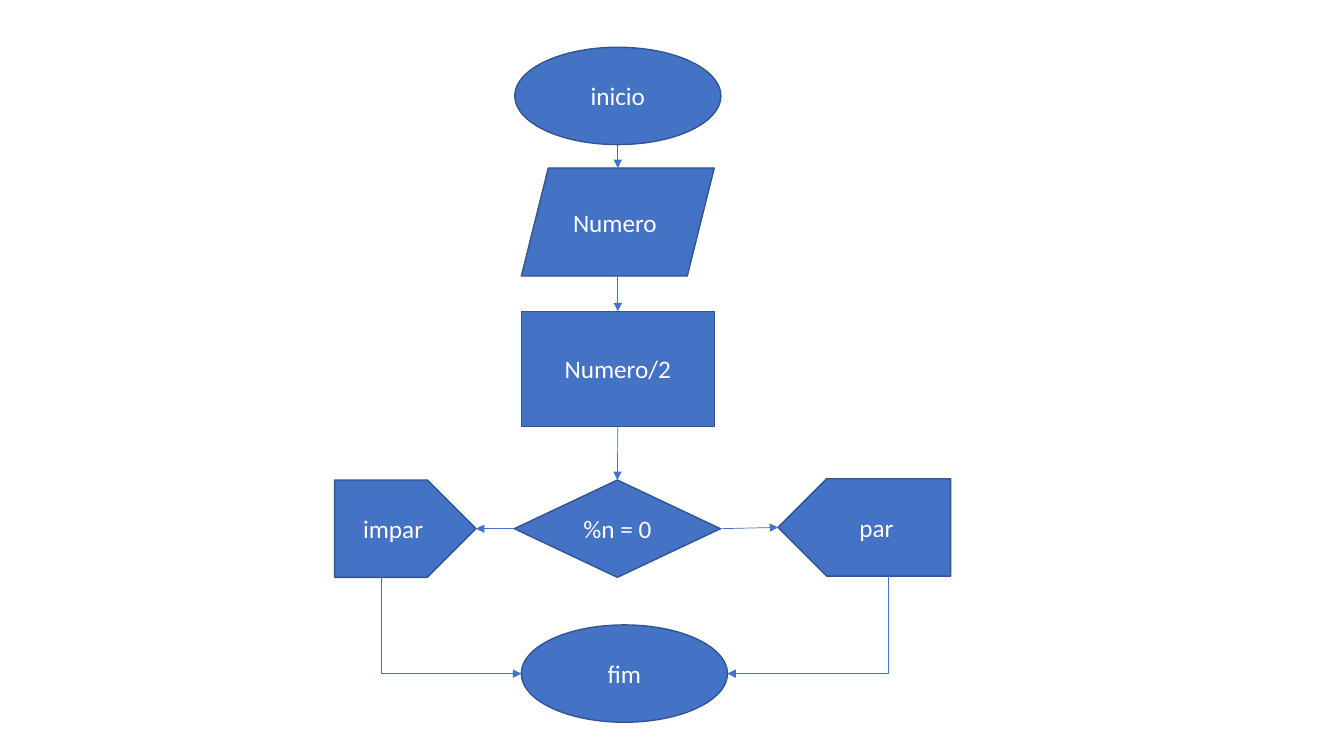
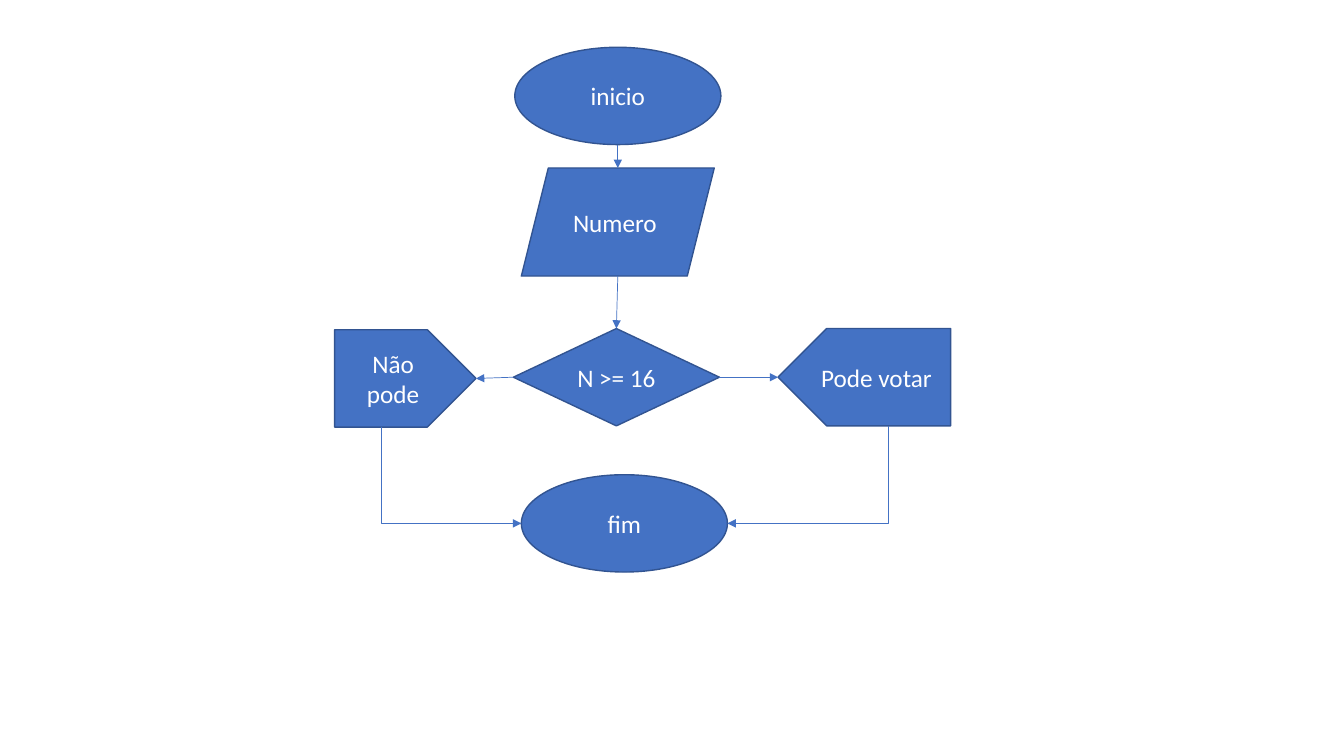
from pptx import Presentation
from pptx.dml.color import RGBColor
from pptx.enum.shapes import MSO_CONNECTOR as Link, MSO_SHAPE as Form
from pptx.enum.text import MSO_ANCHOR as Anchor, PP_ALIGN as Align
from pptx.oxml.ns import qn
from pptx.util import Pt
from lxml.etree import SubElement

TOP, LEFT, BOTTOM, RIGHT = range(4)
MID = 441.3
TALL = 69.5


def paint(part, color):
    part.solid()
    part.fore_color.rgb = RGBColor.from_string(color)


def side(box, spot):
    x, y = box.left.pt, box.top.pt
    w, h = box.width.pt, box.height.pt
    return {
        TOP: (x + w / 2, y),
        LEFT: (x, y + h / 2),
        BOTTOM: (x + w / 2, y + h),
        RIGHT: (x + w, y + h / 2),
    }[spot]


class Chart:
    blue, edge, white = "4472C4", "325491", "FFFFFF"
    font, size = "Calibri", 18
    sites = (Form.RECTANGLE, Form.FLOWCHART_DECISION)

    def __init__(self):
        self.deck = Presentation()
        self.deck.slide_width = Pt(960)
        self.deck.slide_height = Pt(540)

    def page(self):
        self.slide = self.deck.slides.add_slide(self.deck.slide_layouts[6])
        paint(self.slide.background.fill, self.white)

    def box(self, form, text, x, y, w, h=TALL, flip=False):
        box = self.slide.shapes.add_shape(form, Pt(x), Pt(y), Pt(w), Pt(h))
        box.shadow.inherit = False
        paint(box.fill, self.blue)
        paint(box.line.fill, self.edge)
        box.line.width = Pt(1)
        if flip:
            box.element.spPr.find(qn("a:xfrm")).set("flipH", "1")
        frame = box.text_frame
        frame.text = text
        frame.word_wrap = True
        frame.vertical_anchor = Anchor.MIDDLE
        para = frame.paragraphs[0]
        para.alignment = Align.CENTER
        font = para.runs[0].font
        font.name, font.size = self.font, Pt(self.size)
        font.color.rgb = RGBColor.from_string(self.white)
        return box

    def line(self, kind, start, end):
        line = self.slide.shapes.add_connector(
            kind, *(Pt(n) for n in (*start, *end)))
        paint(line.line.fill, self.blue)
        line.line.width = Pt(0.5)
        SubElement(line.line._get_or_add_ln(), qn("a:tailEnd"), type="triangle")
        SubElement(line.element.spPr, qn("a:effectLst"))
        return line

    def arrow(self, first, out, last, into):
        line = self.line(Link.STRAIGHT, side(first, out), side(last, into))
        if first.auto_shape_type in self.sites:
            line.begin_connect(first, out)
        if last.auto_shape_type in self.sites:
            line.end_connect(last, into)

    def bend(self, start, end):
        (x1, y1), (x2, y2) = start, end
        mx, my = (x1 + x2) / 2, (y1 + y2) / 2
        w, h = (y2 - y1) / 2, abs(x2 - x1) / 2
        right = x2 > x1
        if right:
            w = -w
        line = self.line(Link.ELBOW, (mx - w, my - h), (mx + w, my + h))
        props = line.element.spPr
        props.find(qn("a:xfrm")).set("rot", "16200000" if right else "5400000")
        props.find(qn("a:prstGeom")).set("prst", "bentConnector2")

    def intro(self):
        start = self.box(Form.OVAL, "inicio", MID - 73.6, 33.8, 147.2)
        data = self.box(Form.PARALLELOGRAM, "Numero ", MID - 68.9, 120, 137.8, 77.2)
        self.arrow(start, BOTTOM, data, TOP)
        return data

    def fork(self, prior, y, x, drop, test, no, yes):
        test = self.box(Form.FLOWCHART_DECISION, test, x, y + drop, 147.2)
        yes = self.box(Form.PENTAGON, yes, 555.8, y, 123.3, flip=True)
        no = self.box(Form.PENTAGON, no, 239, y + 0.9, 101)
        end = self.box(Form.OVAL, "fim", 372.4, y + 104.4, 147.2)
        self.arrow(prior, BOTTOM, test, TOP)
        self.arrow(test, LEFT, no, RIGHT)
        self.arrow(test, RIGHT, yes, LEFT)
        self.bend((272.1, side(no, BOTTOM)[1]), side(end, LEFT))
        self.bend((634.6, side(yes, BOTTOM)[1]), side(end, RIGHT))


def main():
    chart = Chart()

    chart.page()
    data = chart.intro()
    half = chart.box(Form.RECTANGLE, "Numero/2", MID - 68.9, 222.3, 137.8, 82.3)
    chart.arrow(data, BOTTOM, half, TOP)
    chart.fork(half, 342, 367.4, 0.9, "%n = 0", "impar", "par")

    chart.page()
    data = chart.intro()
    chart.fork(data, 234.7, 366.7, 0, "N >= 16 ", "Não pode", "Pode votar")

    chart.deck.save("out.pptx")


if __name__ == "__main__":
    main()
